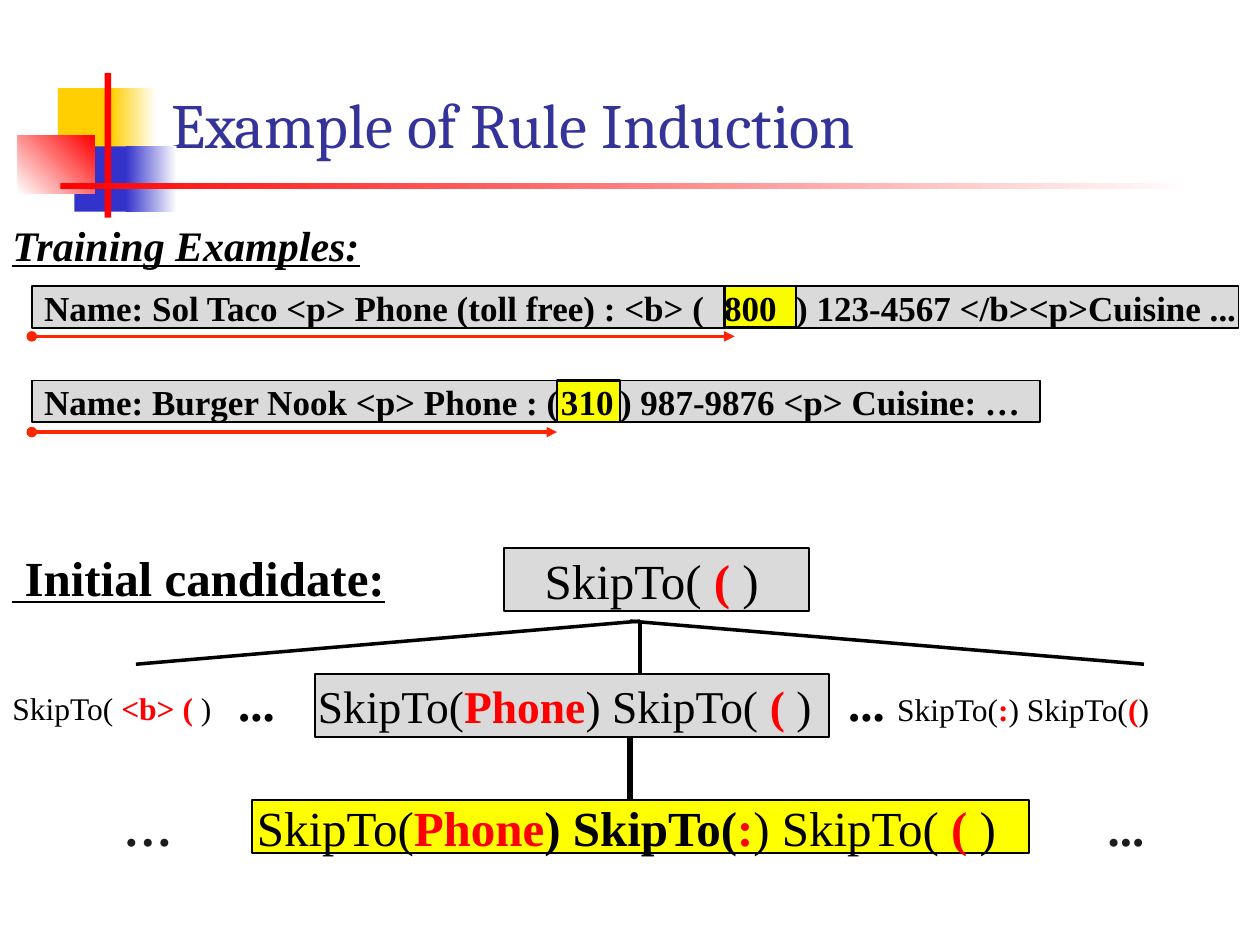
from lxml import etree
from pptx import Presentation
from pptx.dml.color import RGBColor
from pptx.enum.shapes import MSO_CONNECTOR, MSO_SHAPE
from pptx.enum.text import MSO_ANCHOR, PP_ALIGN
from pptx.oxml.ns import qn
from pptx.util import Cm, Pt

RECTANGLE = MSO_SHAPE.RECTANGLE
STRAIGHT = MSO_CONNECTOR.STRAIGHT
MIDDLE, BOTTOM = MSO_ANCHOR.MIDDLE, MSO_ANCHOR.BOTTOM
LEFT = PP_ALIGN.LEFT

COLORS = {
    "black": "000000", "dark": "1C1C1C", "white": "FFFFFF", "title": "333399",
    "gray": "DADADA", "yellow": "FFFF00", "highlight": "FAFD00",
    "red": "FF0000", "arrow": "FF2501", "gold": "FFCF01", "blue": "3333CC",
}
PLAIN = {}
BOLD = {"bold": True}
KEY = {"bold": True, "color": "red"}


def rgb(name):
    """Return the named palette colour."""
    return RGBColor.from_string(COLORS[name])


def add_run(paragraph, text, size=28, color="black", font="Times New Roman",
            bold=False, italic=False, underline=False):
    """Append formatted text to a paragraph."""
    run = paragraph.add_run()
    run.text = text
    run.font.name, run.font.size = font, Pt(size)
    run.font.bold, run.font.italic, run.font.underline = bold, italic, underline
    run.font.color.rgb = rgb(color)


class SlideBuilder:
    """Hold the slide and draw its kinds of element in one style."""

    def __init__(self, slide):
        """Keep the slide to draw on."""
        self.slide = slide

    def title(self, text, left, top, width, height):
        """Fill and place the title placeholder."""
        heading = self.slide.shapes.title
        heading.left, heading.top = Cm(left), Cm(top)
        heading.width, heading.height = Cm(width), Cm(height)
        heading.text_frame.vertical_anchor = BOTTOM
        paragraph = heading.text_frame.paragraphs[0]
        paragraph.alignment = LEFT
        add_run(paragraph, text, size=36, color="title", font="Cambria")

    def fill_text(self, frame, pieces, inset=0, **style):
        """Fill a frame with left-aligned pieces of text, centred vertically."""
        frame.word_wrap = True
        frame.vertical_anchor = MIDDLE
        frame.margin_left = Cm(inset)
        frame.margin_right = frame.margin_top = frame.margin_bottom = 0
        paragraph = frame.paragraphs[0]
        paragraph.alignment = LEFT
        for text, extra in pieces:
            add_run(paragraph, text, **{**style, **extra})

    def text(self, pieces, left, top, width, height, **style):
        """Add a text box."""
        area = self.slide.shapes.add_textbox(Cm(left), Cm(top), Cm(width), Cm(height))
        self.fill_text(area.text_frame, pieces, **style)

    def box(self, left, top, width, height, fill, fade_to=None, angle=0,
            line=0, pieces=(), **style):
        """Add a rectangle with a solid or fading fill and optional text."""
        rect = self.slide.shapes.add_shape(
            RECTANGLE, Cm(left), Cm(top), Cm(width), Cm(height))
        rect.shadow.inherit = False
        if fade_to:
            rect.fill.gradient()
            rect.fill.gradient_angle = angle
            for stop, name in zip(rect.fill.gradient_stops, (fill, fade_to)):
                stop.color.rgb = rgb(name)
        else:
            rect.fill.solid()
            rect.fill.fore_color.rgb = rgb(fill)
        if line:
            rect.line.color.rgb = rgb("black")
            rect.line.width = Pt(line)
        else:
            rect.line.fill.background()
        if pieces:
            self.fill_text(rect.text_frame, pieces, **style)

    def line(self, x1, y1, x2, y2, color="black", width=2, arrow=False):
        """Add a straight line, with an oval start and arrow end if asked."""
        link = self.slide.shapes.add_connector(STRAIGHT, Cm(x1), Cm(y1), Cm(x2), Cm(y2))
        link.line.color.rgb = rgb(color)
        link.line.width = Pt(width)
        properties = link.element.spPr
        if arrow:
            outline = properties.find(qn("a:ln"))
            etree.SubElement(outline, qn("a:headEnd"), type="oval")
            etree.SubElement(outline, qn("a:tailEnd"), type="triangle")
        etree.SubElement(properties, qn("a:effectLst"))

    def example(self, top, width, before, code, after, code_left, code_width,
                code_inset, arrow_y, arrow_end):
        """Draw a training example with its area code and skip arrow."""
        left, height = 0.64, 0.84
        style = {"size": 20, "bold": True}
        code_end = code_left + code_width
        self.box(left, top, width, height, "gray", line=1,
                 pieces=[(before, PLAIN)], inset=0.25, **style)
        self.box(code_left, top, code_width, height, "highlight", line=1.5,
                 pieces=[(code, PLAIN)], inset=code_inset, **style)
        self.text([(after, PLAIN)], code_end, top, 9.3, height, **style)
        self.line(left, arrow_y, arrow_end, arrow_y, color="arrow", arrow=True)


def main():
    """Build and save the slide."""
    deck = Presentation()
    deck.slide_width, deck.slide_height = Cm(25.4), Cm(19.05)
    page = SlideBuilder(deck.slides.add_slide(deck.slide_layouts[5]))

    page.box(1.17, 1.78, 1.22, 1.32, "gold")
    page.box(2.24, 1.78, 0.91, 1.32, "gold", fade_to="white")
    page.box(1.5, 2.95, 1.17, 1.32, "blue")
    page.box(2.54, 2.95, 1.02, 1.32, "blue", fade_to="white")
    page.box(0.36, 2.74, 1.55, 1.17, "white", fade_to="red", angle=45)
    page.box(2.11, 1.47, 0.13, 2.92, "red")
    page.box(1.22, 3.68, 22.86, 0.13, "red", fade_to="white")
    page.title("Example of Rule Induction", 3.2, 1.27, 21.64, 2.11)

    page.text([("Training Examples:", PLAIN)], 0.25, 4.3, 10, 1.27,
              size=24, bold=True, italic=True, underline=True)
    page.example(5.77, 24.33, "Name: Sol Taco <p> Phone (toll free) : <b> (", "800",
                 ") 123-4567 </b><p>Cuisine ...", 14.6, 1.45, 0, 6.78, 14.81)
    page.example(7.67, 20.32, "Name: Burger Nook <p> Phone : (", "310",
                 ") 987-9876 <p> Cuisine: …", 11.23, 1.27, 0.08, 8.71, 11.23)

    page.text([(" Initial candidate:", PLAIN)], 0.25, 11, 9, 1.27,
              bold=True, underline=True)
    page.box(10.16, 11.05, 6.15, 1.27, "gray", line=1.5, inset=0.82,
             pieces=[("SkipTo( ", PLAIN), ("( ", KEY), (")", PLAIN)])

    page.line(12.9, 12.52, 12.9, 13.59)
    page.line(2.74, 13.39, 12.9, 12.52)
    page.line(12.7, 12.52, 23.06, 13.39)
    page.text([("SkipTo( ", PLAIN), ("<b> ( ", KEY), (")", PLAIN)],
              0.25, 13.63, 4.5, 1.27, size=18)
    page.text([("...", BOLD)], 4.8, 13.52, 1.2, 1.27)
    page.box(6.35, 13.59, 10.36, 1.27, "gray", line=1, size=26, inset=0.06,
             pieces=[("SkipTo(", PLAIN), ("Phone", KEY), (") SkipTo( ", PLAIN),
                     ("( ", KEY), (")", PLAIN)])
    page.text([("... ", {"bold": True, "size": 28}), ("SkipTo(", PLAIN), (":", KEY),
               (") SkipTo(", PLAIN), ("(", KEY), (")", PLAIN)],
              17.1, 13.52, 8, 1.27, size=18)

    page.line(12.7, 14.86, 12.7, 16.13, width=3)
    page.box(5.08, 16.13, 15.67, 1.07, "yellow", line=1, inset=0.1,
             pieces=[("SkipTo(", PLAIN), ("Phone", KEY), (") SkipTo(", BOLD),
                     (":", KEY), (") SkipTo( ", PLAIN), ("( ", KEY), (")", PLAIN)])
    for dots, left in (("…", 2.49), ("...", 22.33)):
        page.text([(dots, BOLD)], left, 16.13, 1.5, 1.07, color="dark")

    deck.save("out.pptx")


if __name__ == "__main__":
    main()
